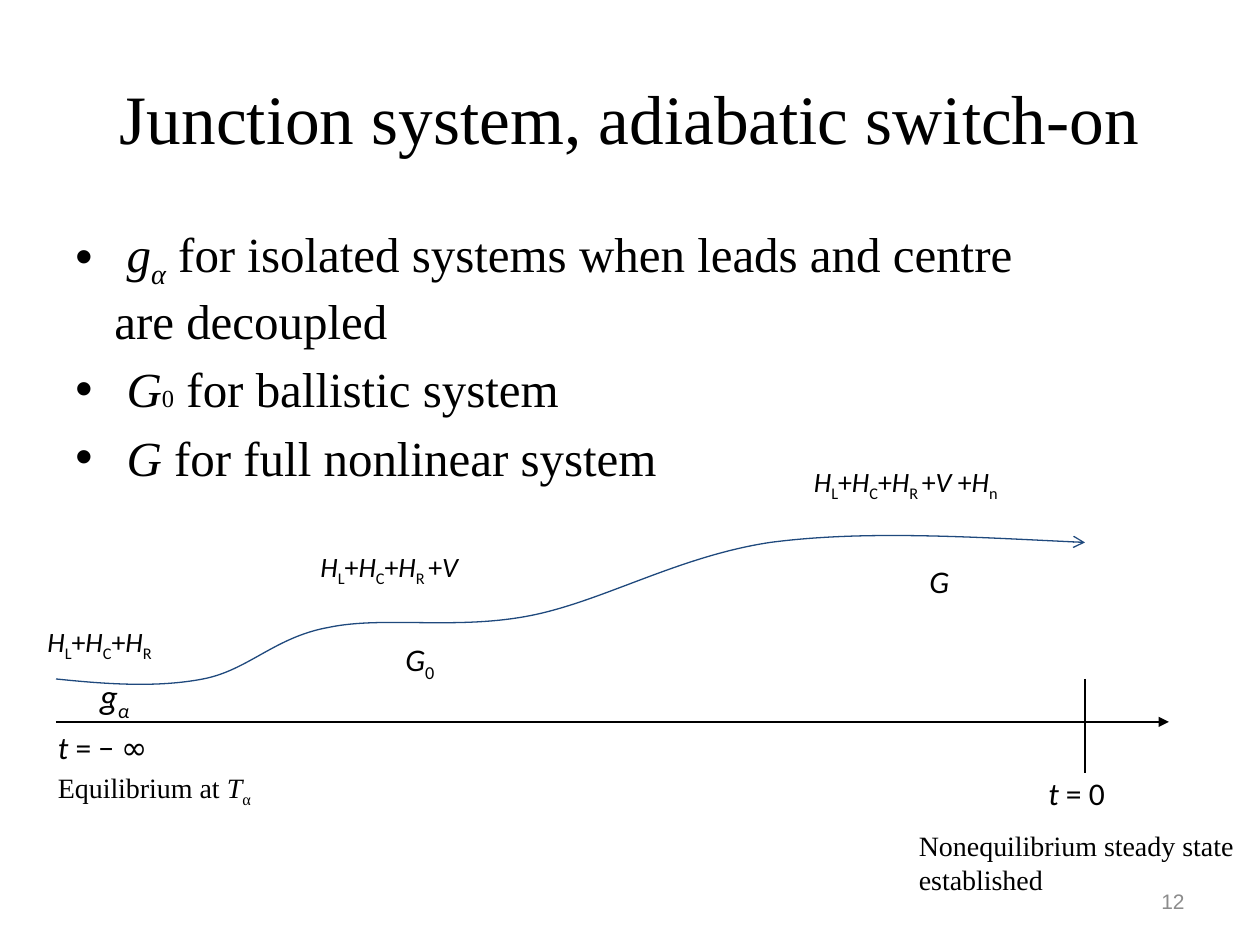
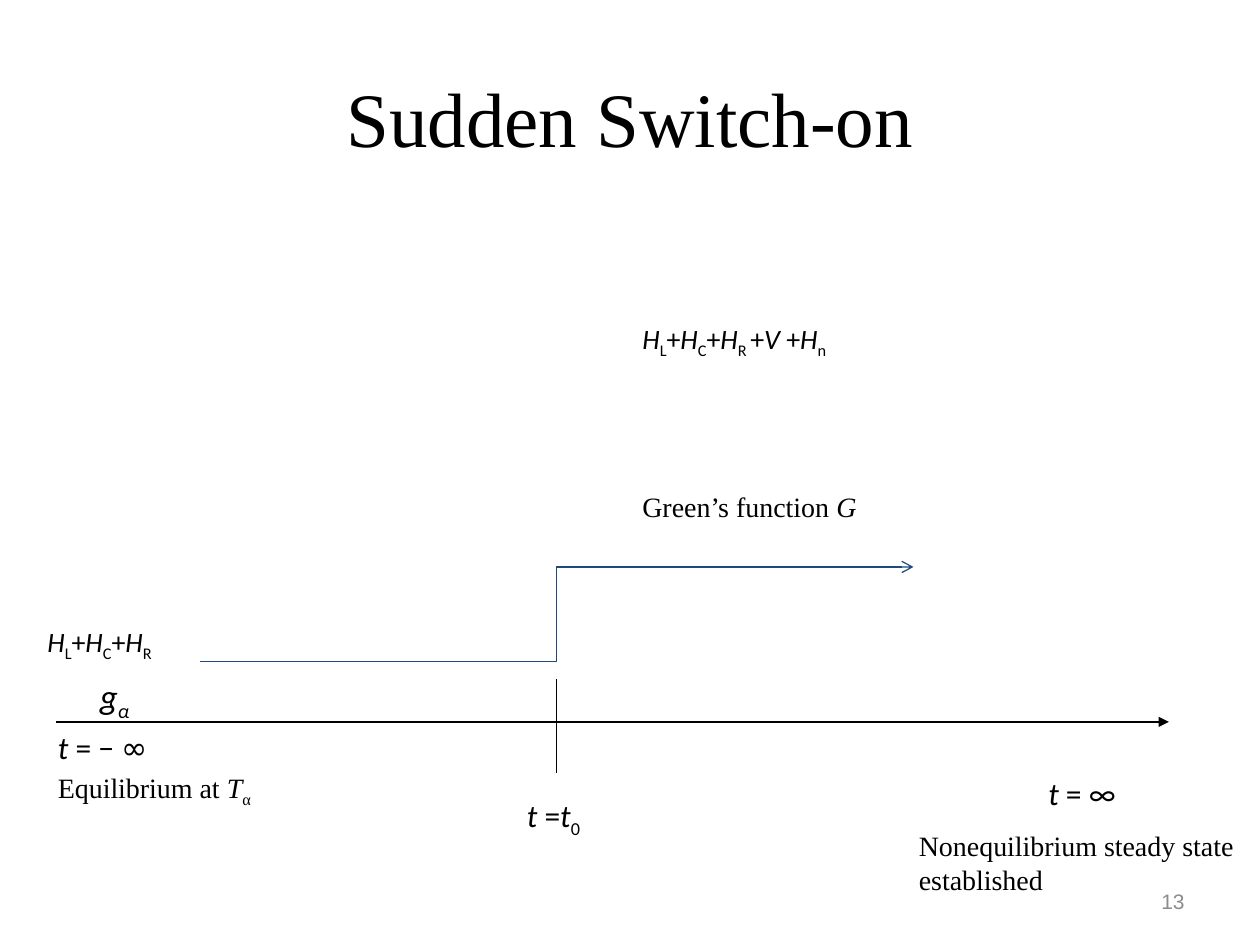
"""Build two slides on switching on a junction system."""
from dataclasses import dataclass

from lxml import etree
from pptx import Presentation
from pptx.dml.color import RGBColor
from pptx.enum.shapes import MSO_CONNECTOR
from pptx.enum.text import MSO_ANCHOR, PP_ALIGN
from pptx.oxml.ns import qn
from pptx.util import Pt

LINE, ELBOW = MSO_CONNECTOR.STRAIGHT, MSO_CONNECTOR.ELBOW
TOP, MIDDLE = MSO_ANCHOR.TOP, MSO_ANCHOR.MIDDLE
LEFT, CENTER, RIGHT = PP_ALIGN.LEFT, PP_ALIGN.CENTER, PP_ALIGN.RIGHT


@dataclass(frozen=True)
class Theme:
    """Hold the colours, fonts and sizes."""
    ink: str = "000000"
    blue: str = "1F497D"
    grey: str = "8C8C8C"
    serif: str = "Times New Roman"
    sans: str = "Calibri"
    plain: str = "Arial"
    sign: str = "Comic Neue"
    title: float = 44
    body: float = 28
    small: float = 14
    big: float = 20
    label: float = 18
    note: float = 16
    page: float = 12
    stroke: float = 0.75


T = Theme()
AXIS = 412.5
TICK = (388, 442)
LEADS = "*H|_L|+|*H|_C|+|*H|_R"
FULL = LEADS + " |+|*V| +|*H|_n"
CURVE = [
    (32, 388),
    (61, 391), (90, 393), (116, 388),
    (142, 383), (157, 364), (188, 358.5),
    (219, 352), (260, 360), (302, 352),
    (344, 344), (387, 318), (440, 310),
    (493, 303), (557, 307), (620, 310),
]


def add_runs(para, line, font, size, color):
    """Add runs parted by |, marked * italic, _ subscript, ^ small, ~ sign."""
    for part in line.split("|"):
        words = part.lstrip("*_^~")
        marks = part[:len(part) - len(words)]
        run = para.add_run()
        run.text = words
        run.font.name = T.sign if "~" in marks else font
        run.font.size = Pt(T.small if "^" in marks else size)
        run.font.italic = "*" in marks
        run.font.color.rgb = RGBColor.from_string(color)
        if "_" in marks:
            run.font._element.set("baseline", "-25000")


def add_bullet(para):
    """Give a paragraph a hanging round bullet."""
    props = para._p.get_or_add_pPr()
    props.set("marL", str(Pt(58.3)))
    props.set("indent", str(-Pt(22.3)))
    etree.SubElement(props, qn("a:buFont")).set("typeface", T.plain)
    etree.SubElement(props, qn("a:buChar")).set("char", "•")


def add_text(slide, text, x, y, w, h=28.8, *, font=T.sans, size=T.label,
             color=T.ink, align=LEFT, anchor=TOP, bullet=False):
    """Add a text box with one paragraph per line."""
    box = slide.shapes.add_textbox(Pt(x), Pt(y), Pt(w), Pt(h))
    frame = box.text_frame
    frame.word_wrap = True
    frame.vertical_anchor = anchor
    for num, line in enumerate(text.split("\n")):
        para = frame.add_paragraph() if num else frame.paragraphs[0]
        para.alignment = align
        if num:
            para.space_before = Pt(size * 0.2)
        if bullet:
            add_bullet(para)
        add_runs(para, line, font, size, color)


def set_line(shape, color, head=None):
    """Style a line and its arrowhead, without a shadow."""
    shape.line.color.rgb = RGBColor.from_string(color)
    shape.line.width = Pt(T.stroke)
    props = shape._element.spPr
    if head:
        etree.SubElement(props.find(qn("a:ln")), qn("a:tailEnd")).set("type", head)
    if props.find(qn("a:effectLst")) is None:
        etree.SubElement(props, qn("a:effectLst"))


def add_line(slide, start, end, color=T.ink, head=None, kind=LINE):
    """Join two points with a connector."""
    ends = [Pt(n) for n in (*start, *end)]
    set_line(slide.shapes.add_connector(kind, *ends), color, head)


def add_curve(slide, points, color, head):
    """Draw a chain of cubic curves, three points to each."""
    first, *rest = [(Pt(x), Pt(y)) for x, y in points]
    pen = slide.shapes.build_freeform(*first)
    pen.add_line_segments(rest, close=False)
    shape = pen.convert_to_shape()
    track = shape._element.find(".//" + qn("a:path"))
    steps = track.findall(qn("a:lnTo"))
    for num in range(0, len(steps), 3):
        cubic = etree.SubElement(track, qn("a:cubicBezTo"))
        for step in steps[num:num + 3]:
            cubic.append(step[0])
            track.remove(step)
    shape.fill.background()
    shape.shadow.inherit = False
    set_line(shape, color, head)


def add_base(deck, title, page, size, tick, end):
    """Add a slide with its title, page number and time axis."""
    slide = deck.slides.add_slide(deck.slide_layouts[6])
    add_text(slide, title, 36, 21.6, 648, 90, font=T.serif, size=size,
             align=CENTER, anchor=MIDDLE)
    add_text(slide, page, 516, 500.5, 168, font=T.plain, size=T.page,
             color=T.grey, align=RIGHT, anchor=MIDDLE)
    add_line(slide, (32, AXIS), (668, AXIS), head="triangle")
    add_line(slide, (tick, TICK[0]), (tick, TICK[1]))
    add_text(slide, end, 592, 439, 66)
    add_text(slide, "*t |= − |~∞", 26, AXIS, 96)
    add_text(slide, LEADS, 20, 353.5, 114, size=T.note)
    add_text(slide, "*g|*_α", 50, 382, 45, size=T.big)
    add_text(slide, "Equilibrium at |*T|_α", 26, 436.5, 150,
             font=T.serif, size=T.note)
    add_text(slide, "Nonequilibrium steady state established",
             518, 470, 224.5, 46, font=T.serif, size=T.note)
    return slide


def add_slow(deck):
    """Add the slide on the adiabatic switch-on."""
    slide = add_base(deck, "Junction system, adiabatic switch-on", "12",
                     T.title * 0.9, 620, "*t| = 0")
    points = (" |*g|*_α| for isolated systems when leads and centre are decoupled\n"
              " |*G|^0| for ballistic system\n"
              " |*G| for full nonlinear system")
    add_text(slide, points, 0, 124, 612, 160, font=T.serif, size=T.body,
             bullet=True)
    add_curve(slide, CURVE, T.blue, "arrow")
    add_text(slide, LEADS + " |+|*V", 176, 310.5, 132, size=T.note)
    add_text(slide, FULL, 458, 262, 168, size=T.note)
    add_text(slide, "*G|_0", 224.5, 362, 48)
    add_text(slide, "*G", 524, 317.5, 36)


def add_fast(deck):
    """Add the slide on the sudden switch-on."""
    slide = add_base(deck, "Sudden Switch-on", "13", T.title, 318, "*t| = ∞")
    add_text(slide, FULL, 360, 180, 168, size=T.note)
    add_text(slide, "Green’s function |*G", 360, 276, 174,
             font=T.serif, size=T.note)
    add_text(slide, "*t |=|*t|_0", 294, 451.5, 66)
    add_line(slide, (114, 378), (522, 324), T.blue, "arrow", ELBOW)


def main():
    """Build and save the deck."""
    deck = Presentation()
    deck.slide_width, deck.slide_height = Pt(720), Pt(540)
    add_slow(deck)
    add_fast(deck)
    deck.save("out.pptx")


if __name__ == "__main__":
    main()
